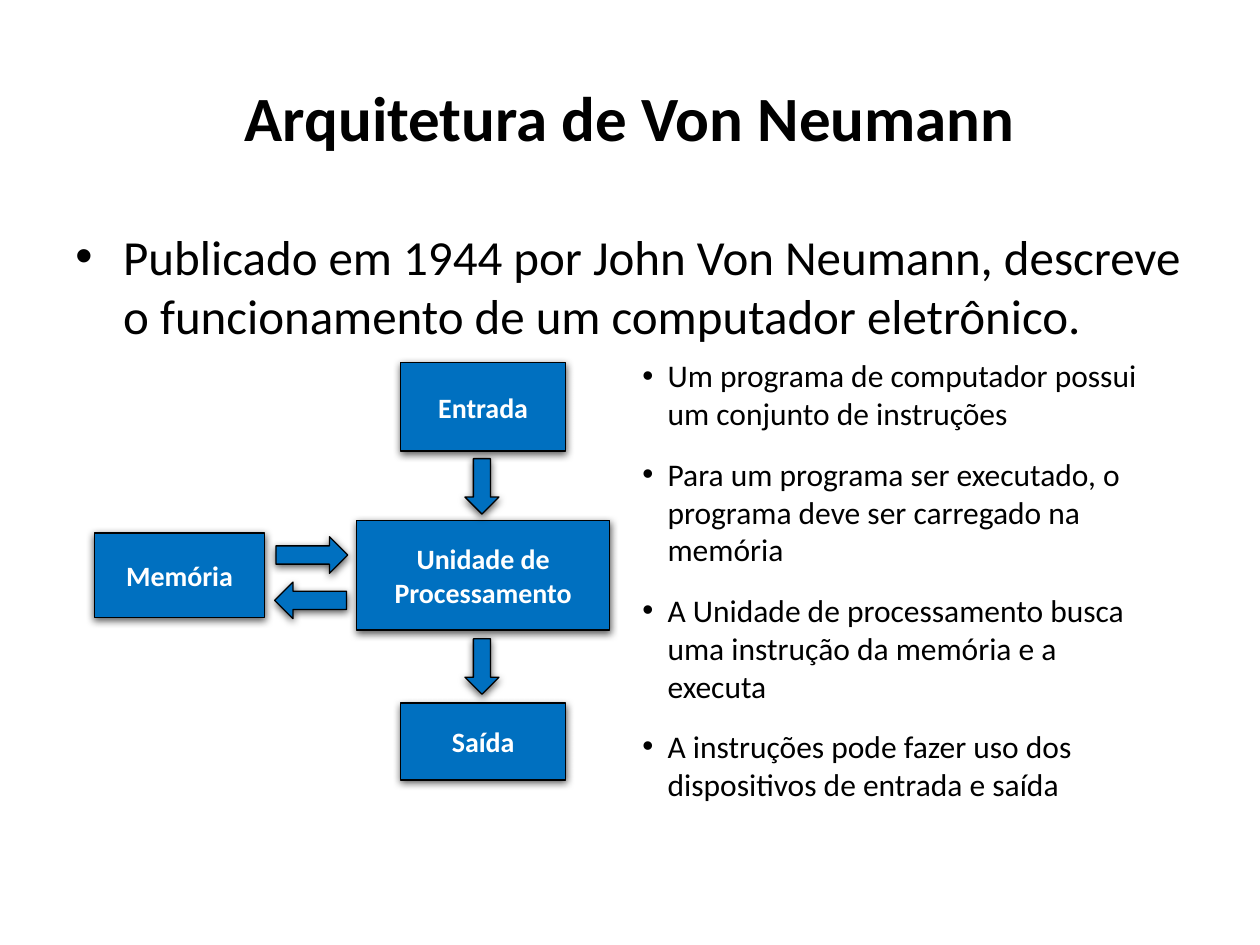
from lxml import etree
from pptx import Presentation
from pptx.dml.color import RGBColor
from pptx.enum import shapes, text
from pptx.oxml import ns
from pptx.util import Inches, Pt

BLACK = RGBColor(0x00, 0x00, 0x00)
WHITE = RGBColor(0xFF, 0xFF, 0xFF)
BLUE = RGBColor(0x00, 0x70, 0xC0)
FONT = "Calibri"
MSO = shapes.MSO_SHAPE

# Content
TITLE = "Arquitetura de Von Neumann"
INTRO = ["Publicado em 1944 por John Von Neumann, descreve o funcionamento "
         "de um computador eletrônico."]
NOTES = [
    "Um programa de computador possui um conjunto de instruções",
    "Para um programa ser executado, o programa deve ser carregado na memória",
    "A Unidade de processamento busca uma instrução da memória e a executa",
    "A instruções pode fazer uso dos dispositivos de entrada e saída",
]
# Label, left, top, width, height
UNITS = [
    ("Unidade de Processamento", 2.83, 4.13, 2.01, 0.87),
    ("Memória", 0.75, 4.23, 1.35, 0.67),
    ("Entrada", 3.18, 2.88, 1.31, 0.7),
    ("Saída", 3.18, 5.58, 1.31, 0.61),
]
# Shape, left, top, width, height, rotation
ARROWS = [
    (MSO.DOWN_ARROW, 3.69, 3.64, 0.27, 0.44, 0),
    (MSO.DOWN_ARROW, 3.69, 5.07, 0.27, 0.44, 0),
    (MSO.RIGHT_ARROW, 2.19, 4.26, 0.57, 0.29, 0),
    (MSO.RIGHT_ARROW, 2.18, 4.62, 0.57, 0.29, 180),
]


def set_font(p, size, color, bold=False):
    for r in p.runs:
        r.font.name, r.font.size, r.font.bold = FONT, Pt(size), bold
        r.font.color.rgb = color


def add_shadow(sp):
    sp.shadow.inherit = False
    effects = sp._element.spPr.find(ns.qn("a:effectLst"))
    shadow = etree.SubElement(
        effects, ns.qn("a:outerShdw"), blurRad=str(Pt(4.5)), dist=str(Pt(1.5)),
        dir="5400000", algn="ctr", rotWithShape="0")
    color = etree.SubElement(shadow, ns.qn("a:srgbClr"), val=str(BLACK))
    etree.SubElement(color, ns.qn("a:alpha"), val="63000")


def add_block(group, kind, box, label="", rotation=0):
    sp = group.shapes.add_shape(kind, *map(Inches, box))
    sp.rotation = rotation
    sp.fill.solid()
    sp.fill.fore_color.rgb = BLUE
    sp.line.color.rgb = BLACK
    sp.line.width = Pt(0.75)
    add_shadow(sp)
    if label:
        tf = sp.text_frame
        tf.text = label
        tf.word_wrap = True
        tf.vertical_anchor = text.MSO_ANCHOR.MIDDLE
        tf.paragraphs[0].alignment = text.PP_ALIGN.CENTER
        set_font(tf.paragraphs[0], 16, WHITE, bold=True)


def add_bullets(s, box, items, size, indent, gap=0):
    tf = s.shapes.add_textbox(*map(Inches, box)).text_frame
    tf.word_wrap = True
    tf.text = "\n".join(items)
    for i, p in enumerate(tf.paragraphs):
        pPr = p._p.get_or_add_pPr()
        pPr.set("marL", str(Inches(indent)))
        pPr.set("indent", str(-Inches(indent)))
        etree.SubElement(pPr, ns.qn("a:buFont"), typeface="Arial")
        etree.SubElement(pPr, ns.qn("a:buChar"), char="•")
        if i:
            p.space_before = Pt(gap)
        set_font(p, size, BLACK)


prs = Presentation()
prs.slide_width, prs.slide_height = Inches(10), Inches(7.5)
s = prs.slides.add_slide(prs.slide_layouts[5])

# Title
title = s.shapes.title
title.left, title.top, title.width, title.height = map(Inches, (0.5, 0.3, 9, 1.25))
title.text_frame.text = TITLE
title.text_frame.vertical_anchor = text.MSO_ANCHOR.MIDDLE
title.text_frame.paragraphs[0].alignment = text.PP_ALIGN.CENTER
set_font(title.text_frame.paragraphs[0], 36, BLACK, bold=True)

# Introduction
add_bullets(s, (0.5, 1.75, 9, 1.03), INTRO, 28, 0.38)

# Architecture diagram
diagram = s.shapes.add_group_shape()
for label, *box in UNITS:
    add_block(diagram, MSO.RECTANGLE, box, label)
for kind, *box, rotation in ARROWS:
    add_block(diagram, kind, box, rotation=rotation)

# Explanation
add_bullets(s, (5, 2.78, 4.25, 3.76), NOTES, 18, 0.2, gap=13)

prs.save("out.pptx")
